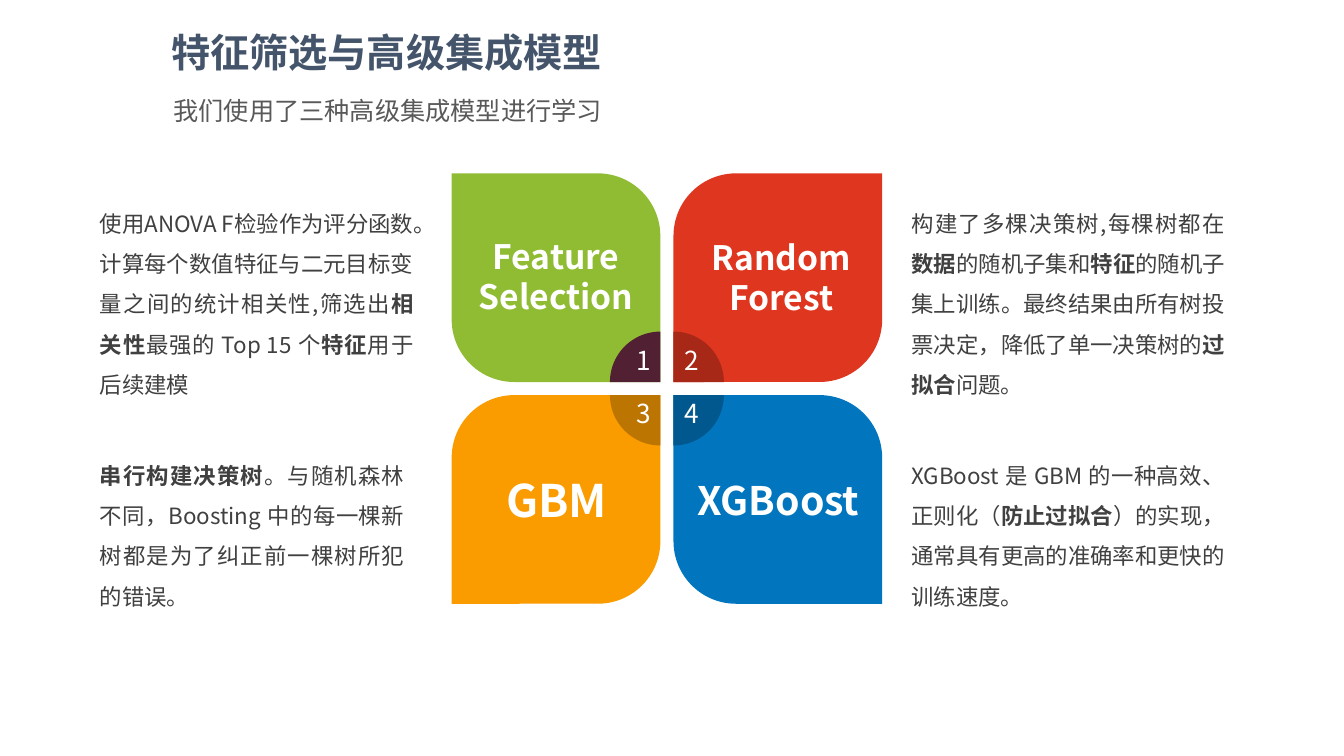
"""Builds a slide with four petals for feature selection and ensemble models."""
from math import cos, pi, sin

from pptx import Presentation
from pptx.dml.color import RGBColor
from pptx.enum.shapes import MSO_SHAPE as Shape
from pptx.enum.text import PP_ALIGN as Align
from pptx.oxml.ns import qn
from pptx.util import Inches, Pt

FONT = "Noto Sans CJK SC"
WHITE = RGBColor(0xFF, 0xFF, 0xFF)
NAVY = RGBColor(0x44, 0x54, 0x6A)
GREY = RGBColor(0x59, 0x59, 0x59)
DARK = RGBColor(0x40, 0x40, 0x40)
GREEN = RGBColor(0x90, 0xBC, 0x33)
PLUM = RGBColor(0x51, 0x20, 0x32)
RED = RGBColor(0xDF, 0x36, 0x1F)
BRICK = RGBColor(0xA7, 0x28, 0x17)
ORANGE = RGBColor(0xFA, 0x9C, 0x00)
BROWN = RGBColor(0xBB, 0x75, 0x00)
BLUE = RGBColor(0x01, 0x75, 0xBE)
DEEP_BLUE = RGBColor(0x01, 0x58, 0x8E)

TITLE = "特征筛选与高级集成模型"
SUBTITLE = "我们使用了三种高级集成模型进行学习"
MODELS = [
    dict(label=["Feature Selection"], size=24, label_box=(4.67, 2.29, 1.69, 0.86),
         petal=GREEN, badge=PLUM, note_width=3.11,
         note="使用ANOVA F检验作为评分函数。计算每个数值特征与二元目标变量之间的统计相关性,"
              "筛选出*相关性*最强的 Top 15 个*特征*用于后续建模"),
    dict(label=["Random", "Forest"], size=24, label_box=(6.88, 2.3, 1.74, 0.86),
         petal=RED, badge=BRICK, note_width=3.11,
         note="构建了多棵决策树,每棵树都在*数据*的随机子集和*特征*的随机子集上训练。"
              "最终结果由所有树投票决定，降低了单一决策树的*过拟合*问题。"),
    dict(label=["GBM"], size=32, label_box=(4.88, 4.64, 1.28, 0.59),
         petal=ORANGE, badge=BROWN, note_width=3.02,
         note="*串行构建决策树*。与随机森林不同，Boosting 中的每一棵新树都是为了纠正前一棵树所犯的错误。"),
    dict(label=["XGBoost"], size=28, label_box=(6.87, 4.68, 1.7, 0.52),
         petal=BLUE, badge=DEEP_BLUE, note_width=3.11,
         note="XGBoost 是 GBM 的一种高效、正则化（*防止过拟合*）的实现，通常具有更高的准确率和更快的训练速度。"),
]

PETAL, GAP, BADGE, CORNER = 2.07, 0.13, 0.5, 0.3
LEFT, TOP = 4.48, 1.72
NOTE_LEFTS, NOTE_ROWS = (0.99, 9.04), ((1.95, 1.97), (4.45, 1.57))
DIGIT_LEFTS, DIGIT_TOPS = (6.29, 6.76), (3.42, 3.94)
ARC_STEPS = 24

deck = Presentation()
deck.slide_width, deck.slide_height = Inches(13.33), Inches(7.5)
slide = deck.slides.add_slide(deck.slide_layouts[6])


def paint(shape, color):
    shape.shadow.inherit = False
    shape.fill.solid()
    shape.fill.fore_color.rgb = color
    shape.line.fill.background()


def write(box, lines, size, color, align, bold=False, insets=(0, 0, 0, 0), wrap=True, **spacing):
    frame = slide.shapes.add_textbox(*map(Inches, box)).text_frame
    frame.word_wrap = wrap
    for side, inset in zip(("left", "top", "right", "bottom"), insets):
        setattr(frame, f"margin_{side}", Inches(inset))
    for row, line in enumerate(lines):
        paragraph = frame.add_paragraph() if row else frame.paragraphs[0]
        for key, value in dict(alignment=align, **spacing).items():
            setattr(paragraph, key, value)
        for part, words in enumerate(line.split("*")):
            if not words:
                continue
            run = paragraph.add_run()
            run.text = words
            look = dict(name=FONT, size=Pt(size), bold=bold or part % 2 == 1)
            for key, value in look.items():
                setattr(run.font, key, value)
            run.font.color.rgb = color
            east_asian = run.font._element.makeelement(qn("a:ea"), {"typeface": FONT})
            run.font._element.append(east_asian)


def add_petal(column, row, color):
    corner = (LEFT + column * (PETAL + GAP), TOP + row * (PETAL + GAP))
    petal = slide.shapes.add_shape(
        Shape.ROUND_2_DIAG_RECTANGLE, *map(Inches, (*corner, PETAL, PETAL)))
    falling = column == row
    petal.adjustments[0] = 0 if falling else CORNER
    petal.adjustments[1] = CORNER if falling else 0
    paint(petal, color)


def add_badge(column, row, color):
    x = LEFT + PETAL + column * GAP
    y = TOP + PETAL + row * GAP
    across, down = 2 * column - 1, 2 * row - 1
    angles = [step * pi / 2 / ARC_STEPS for step in range(ARC_STEPS + 1)]
    arc = [(Inches(x + across * BADGE * cos(a)), Inches(y + down * BADGE * sin(a))) for a in angles]
    outline = slide.shapes.build_freeform(Inches(x), Inches(y))
    outline.add_line_segments(arc, close=True)
    paint(outline.convert_to_shape(), color)


for index, model in enumerate(MODELS):
    row, column = divmod(index, 2)
    add_petal(column, row, model["petal"])
    add_badge(column, row, model["badge"])
    write((DIGIT_LEFTS[column], DIGIT_TOPS[row], 0.17, 0.31), [str(index + 1)],
          18.7, WHITE, Align.RIGHT)
    write(model["label_box"], model["label"], model["size"], WHITE, Align.CENTER,
          bold=True, insets=(0, 0.05, 0, 0))
    note_top, note_height = NOTE_ROWS[row]
    write((NOTE_LEFTS[column], note_top, model["note_width"], note_height), [model["note"]],
          16, DARK, Align.JUSTIFY, line_spacing=1.5)

HEADING_INSETS = (0.1, 0.05, 0.1, 0.05)
write((1.6, 0.23, 4.54, 0.57), [TITLE], 28, NAVY, Align.LEFT, bold=True,
      insets=HEADING_INSETS, wrap=False)
write((1.6, 0.83, 4.49, 0.44), [SUBTITLE], 18, GREY, Align.CENTER,
      insets=HEADING_INSETS, line_spacing=1.23, space_before=Pt(6))

deck.save("out.pptx")
